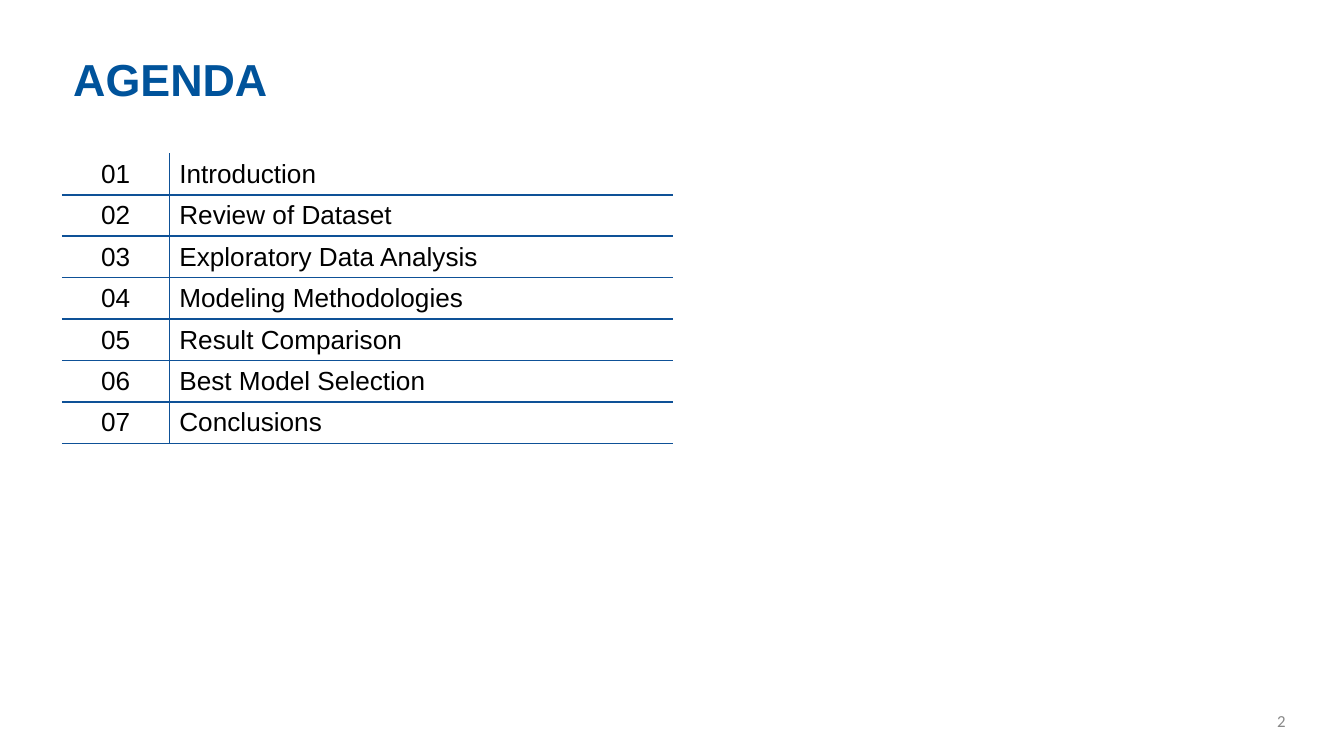
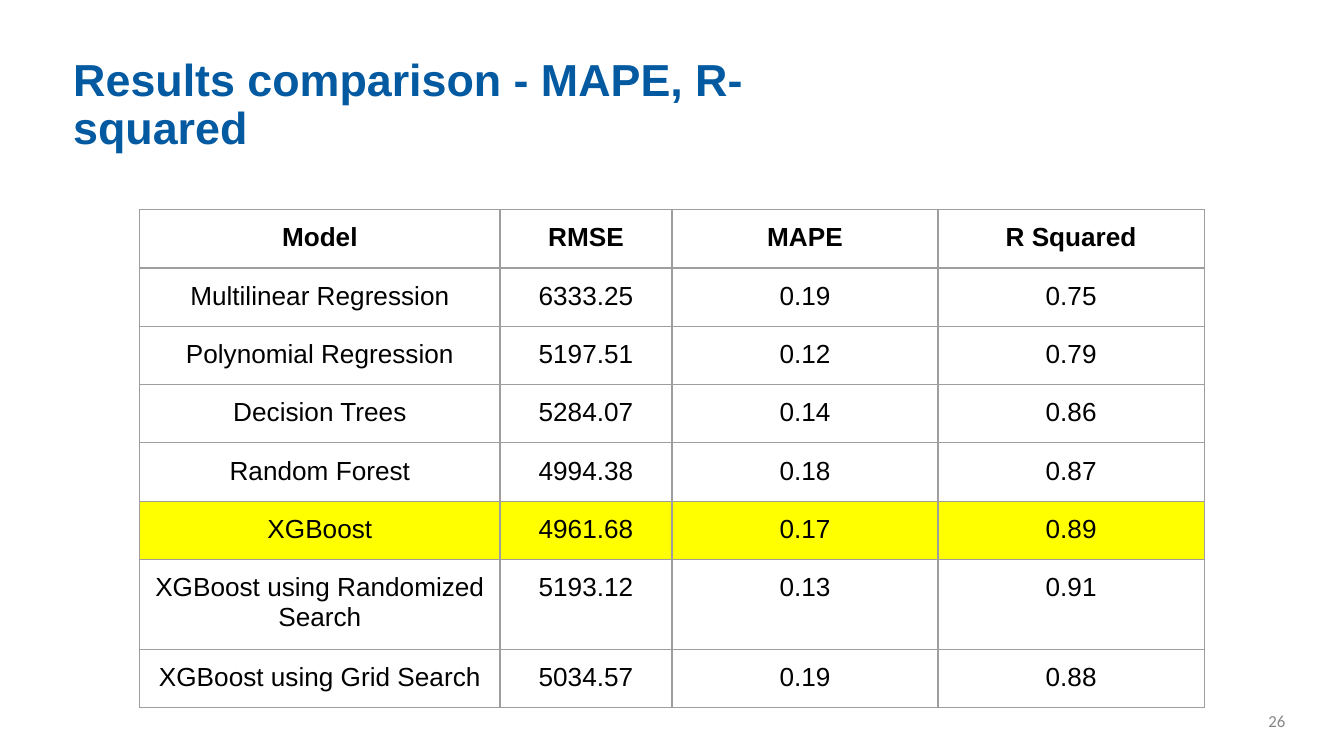
from dataclasses import dataclass

from lxml import etree
from pptx import Presentation
from pptx.dml.color import RGBColor
from pptx.enum.text import MSO_ANCHOR, PP_ALIGN
from pptx.oxml.ns import qn
from pptx.util import Inches, Pt

LEFT, CENTER, RIGHT = PP_ALIGN.LEFT, PP_ALIGN.CENTER, PP_ALIGN.RIGHT
TOP, MIDDLE = MSO_ANCHOR.TOP, MSO_ANCHOR.MIDDLE

WHITE = RGBColor(0xFF, 0xFF, 0xFF)
BLACK = RGBColor(0x00, 0x00, 0x00)
AGENDA_BLUE = RGBColor(0x00, 0x53, 0x9B)
RESULTS_BLUE = RGBColor(0x03, 0x5A, 0xA1)
RULE_BLUE = RGBColor(0x0E, 0x51, 0x97)
GRID_GRAY = RGBColor(0x9E, 0x9E, 0x9E)
PAGE_GRAY = RGBColor(0x88, 0x88, 0x88)
HIGHLIGHT = RGBColor(0xFF, 0xFF, 0x00)

BODY_FONT, PAGE_FONT = "Arial", "Calibri"
SLIDE_WIDTH = 10
SLIDE_HEIGHT = SLIDE_WIDTH * 9 / 16
TIGHT_MARGINS = Pt(5.4), Pt(2.7)
WIDE_MARGINS = Inches(0.1), Inches(0.1)

AGENDA = [
    "Introduction",
    "Review of Dataset",
    "Exploratory Data Analysis",
    "Modeling Methodologies",
    "Result Comparison",
    "Best Model Selection",
    "Conclusions",
]

RESULTS = [
    ("Model", "RMSE", "MAPE", "R Squared"),
    ("Multilinear Regression", "6333.25", "0.19", "0.75"),
    ("Polynomial Regression", "5197.51", "0.12", "0.79"),
    ("Decision Trees", "5284.07", "0.14", "0.86"),
    ("Random Forest", "4994.38", "0.18", "0.87"),
    ("XGBoost", "4961.68", "0.17", "0.89"),
    ("XGBoost using Randomized Search", "5193.12", "0.13", "0.91"),
    ("XGBoost using Grid Search", "5034.57", "0.19", "0.88"),
]
BEST_MODEL = "XGBoost"


@dataclass
class Box:
    left: float
    top: float
    width: float
    height: float

    def lengths(self):
        return [Inches(n) for n in (self.left, self.top, self.width, self.height)]


def set_margins(holder, margins):
    holder.margin_left = holder.margin_right = margins[0]
    holder.margin_top = holder.margin_bottom = margins[1]


def style_paragraph(paragraph, size, color, font=BODY_FONT, bold=False, align=LEFT):
    paragraph.alignment = align
    paragraph.font.name = font
    paragraph.font.size = Pt(size)
    paragraph.font.bold = bold
    paragraph.font.color.rgb = color


def add_text(slide, box, text, size, color, **style):
    frame = slide.shapes.add_textbox(*box.lengths()).text_frame
    frame.word_wrap = True
    frame.vertical_anchor = MIDDLE
    set_margins(frame, TIGHT_MARGINS)
    paragraph = frame.paragraphs[0]
    paragraph.text = text
    style_paragraph(paragraph, size, color, **style)
    return paragraph


def add_title(slide, text, color, height):
    box = Box(0.47, 0.39, 5.86, height)
    add_text(slide, box, text, 24, color, bold=True).line_spacing = 0.9


def add_page_number(slide, number):
    box = Box(9.24, 5.21, 0.4, 0.3)
    add_text(slide, box, str(number), 9, PAGE_GRAY, font=PAGE_FONT, align=RIGHT)


def set_borders(cell, drawn, color, width):
    properties = cell._tc.get_or_add_tcPr()
    for position, side in enumerate("LRTB"):
        line = etree.Element(qn(f"a:ln{side}"), w=str(Pt(width)))
        if side in drawn:
            fill = etree.SubElement(line, qn("a:solidFill"))
            etree.SubElement(fill, qn("a:srgbClr"), val=str(color))
        else:
            etree.SubElement(line, qn("a:noFill"))
        properties.insert(position, line)


def add_grid(slide, box, column_weights, row_count):
    table = slide.shapes.add_table(
        row_count, len(column_weights), *box.lengths()
    ).table
    table.first_row = table.horz_banding = False
    for column, weight in zip(table.columns, column_weights):
        column.width = Inches(box.width * weight / sum(column_weights))
    return table


def fill_cell(cell, text, margins, anchor, fill, bold=False, align=CENTER):
    set_margins(cell, margins)
    cell.vertical_anchor = anchor
    if fill is None:
        cell.fill.background()
    else:
        cell.fill.solid()
        cell.fill.fore_color.rgb = fill
    paragraph = cell.text_frame.paragraphs[0]
    paragraph.text = text
    style_paragraph(paragraph, 14, BLACK, bold=bold, align=align)


def add_agenda_table(slide, box):
    table = add_grid(slide, box, (0.8, 3.75), len(AGENDA))
    for index, topic in enumerate(AGENDA):
        rules = "TB" if index else "B"
        columns = ((f"{index + 1:02}", CENTER, "R"), (topic, LEFT, "L"))
        for column, (text, align, divider) in enumerate(columns):
            cell = table.cell(index, column)
            fill_cell(cell, text, TIGHT_MARGINS, MIDDLE, WHITE, align=align)
            set_borders(cell, rules + divider, RULE_BLUE, 1)


def add_results_table(slide, box):
    table = add_grid(slide, box, (2.68, 1.28, 1.98, 1.98), len(RESULTS))
    for index, values in enumerate(RESULTS):
        fill = HIGHLIGHT if values[0] == BEST_MODEL else None
        for column, text in enumerate(values):
            cell = table.cell(index, column)
            fill_cell(cell, text, WIDE_MARGINS, TOP, fill, bold=index == 0)
            set_borders(cell, "LRTB", GRID_GRAY, 0.75)


def add_blank_slide(presentation, number):
    slide = presentation.slides.add_slide(presentation.slide_layouts[6])
    slide.background.fill.solid()
    slide.background.fill.fore_color.rgb = WHITE
    add_page_number(slide, number)
    return slide


def build_agenda(presentation):
    slide = add_blank_slide(presentation, 2)
    add_agenda_table(slide, Box(0.46, 1.14, 4.55, 2.1))
    add_title(slide, "AGENDA", AGENDA_BLUE, 0.44)


def build_results(presentation):
    slide = add_blank_slide(presentation, 26)
    add_title(slide, "Results comparison - MAPE, R-squared", RESULTS_BLUE, 0.8)
    add_results_table(slide, Box(1.04, 1.56, 7.92, 3.36))


def main():
    presentation = Presentation()
    presentation.slide_width = Inches(SLIDE_WIDTH)
    presentation.slide_height = Inches(SLIDE_HEIGHT)
    build_agenda(presentation)
    build_results(presentation)
    presentation.save("out.pptx")


if __name__ == "__main__":
    main()
